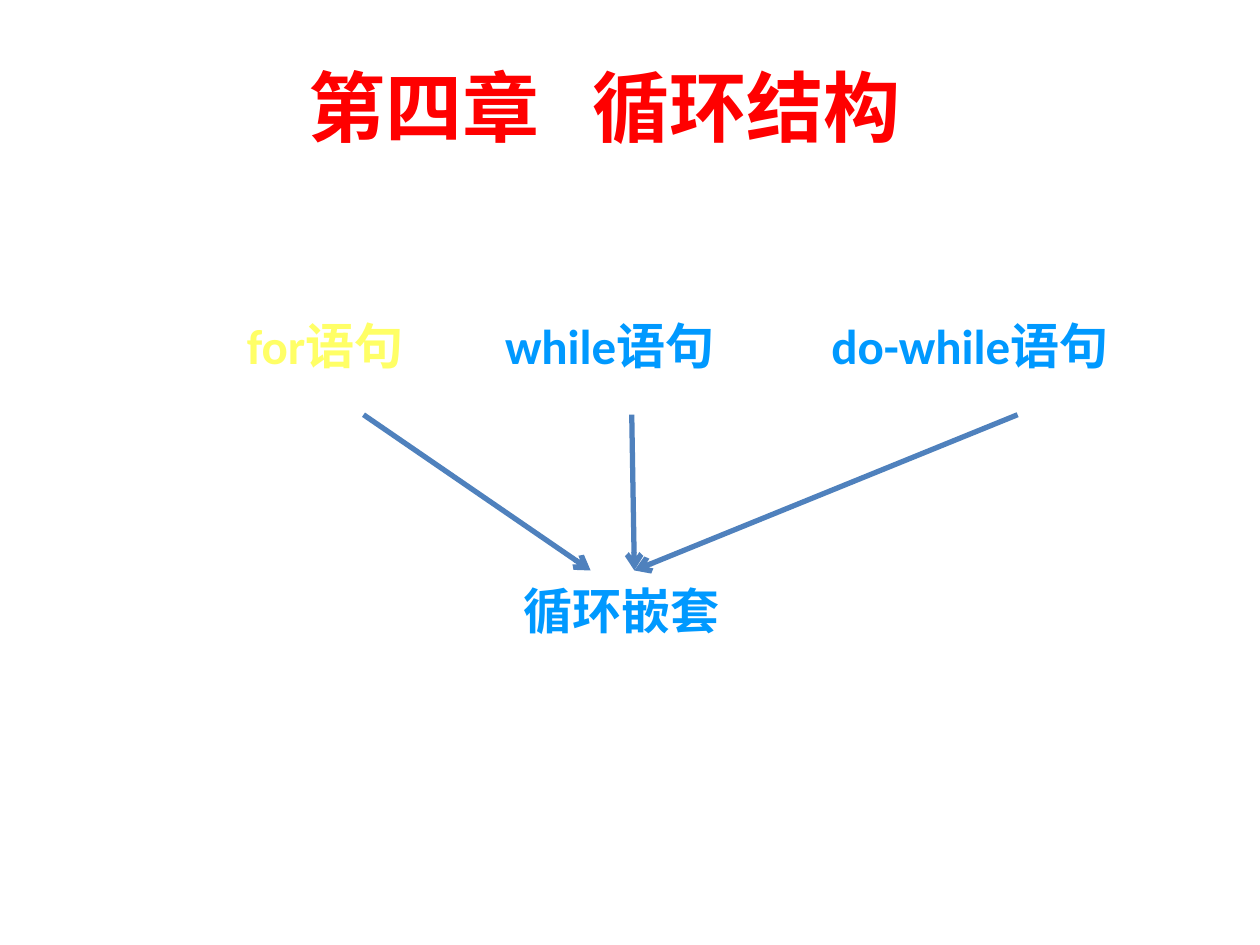
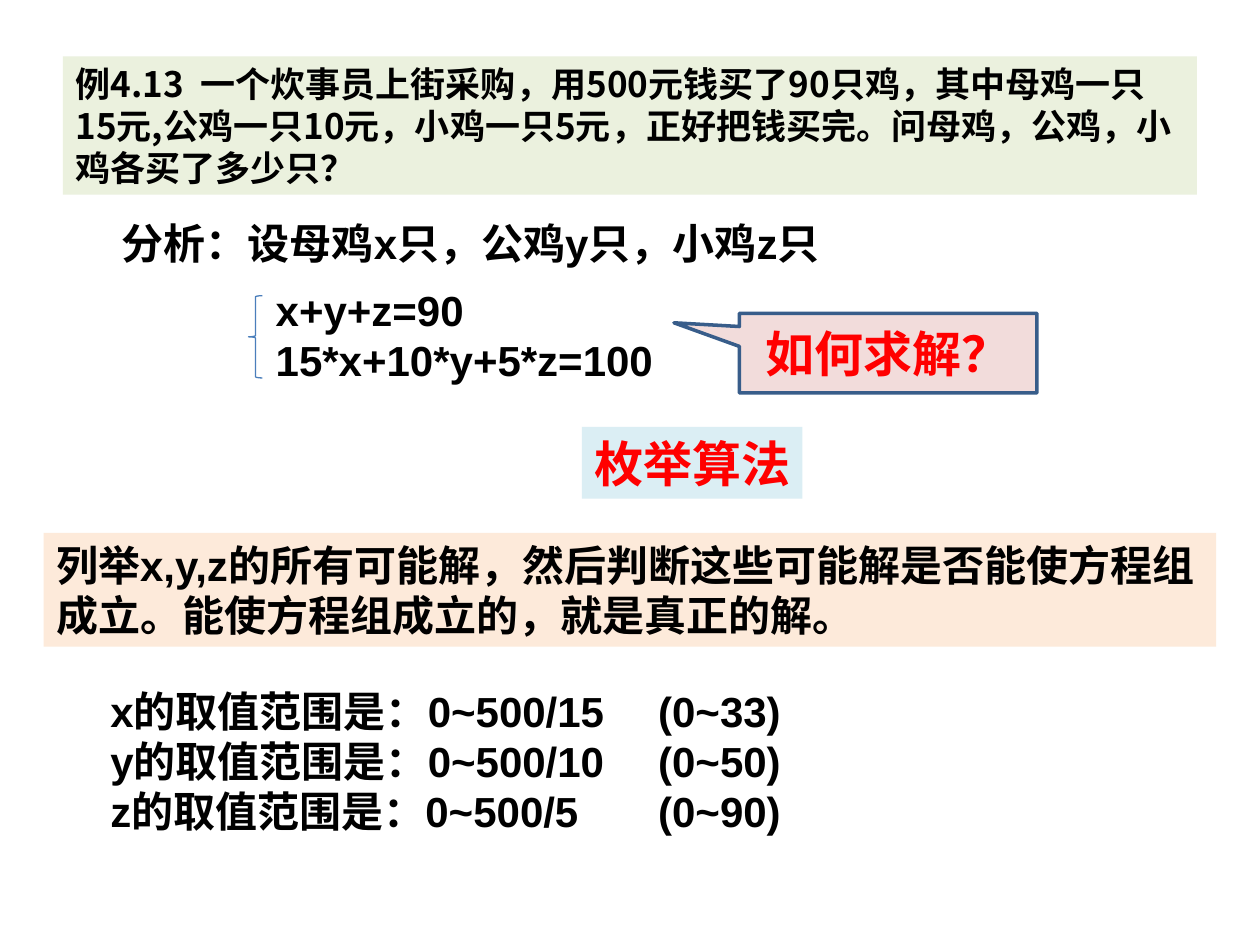
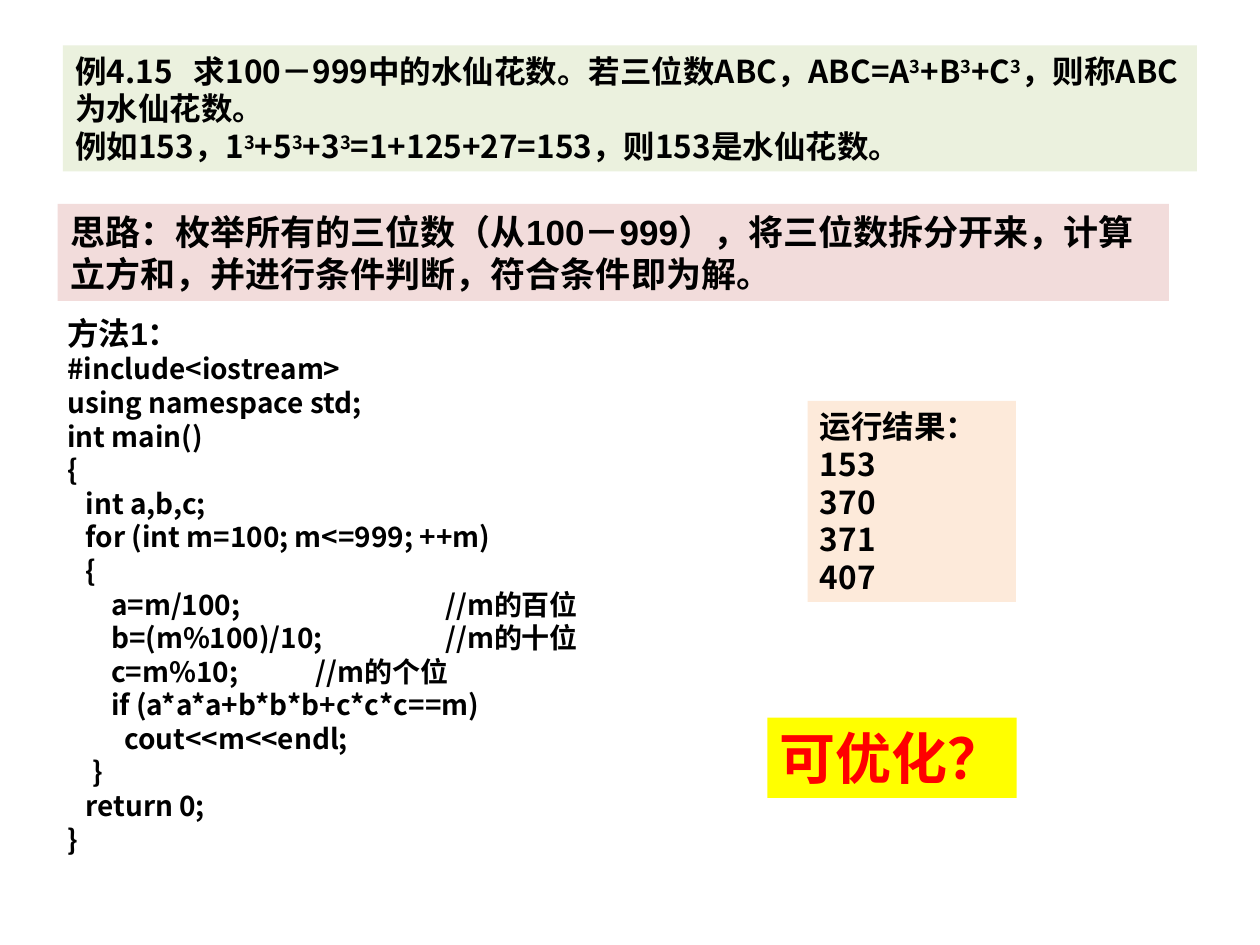
from dataclasses import dataclass

from lxml.etree import SubElement
from pptx import Presentation
from pptx.dml.color import RGBColor
from pptx.enum.shapes import MSO_CONNECTOR, MSO_SHAPE
from pptx.enum.text import MSO_ANCHOR, MSO_AUTO_SIZE, PP_ALIGN
from pptx.oxml.ns import qn
from pptx.util import Pt


@dataclass(frozen=True)
class Theme:
    # colours
    black: str = "000000"
    red: str = "FF0000"
    current: str = "FFFF66"
    topic: str = "0099FF"
    arrow: str = "4F81BD"
    brace: str = "4A7EBB"
    callout_line: str = "385D8A"
    green: str = "EBF1DE"
    pink: str = "F2DCDB"
    aqua: str = "DBEEF4"
    peach: str = "FDEADA"
    yellow: str = "FFFF00"
    # fonts
    heading: str = "Calibri"
    body: str = "Arial"
    chinese: str = "Noto Sans CJK SC"
    # type sizes
    title: int = 44
    shout: int = 32
    large: int = 28
    medium: int = 24
    normal: int = 20
    small: int = 18
    code: int = 16


THEME = Theme()
TITLE_ONLY, BLANK = 5, 6
CUBED = ("3", {"baseline": "30000"})


def rgb(colour):
    return RGBColor.from_string(colour)


def gap(points):
    """A single space widened by the given number of points."""
    return " ", {"spc": str(points * 100)}


def write(frame, *lines, size=THEME.medium, font=THEME.body,
          colour=THEME.black, align=None, tabs=()):
    """Append paragraphs; a line is a string or a list of strings and (string, attributes)."""
    for line in lines:
        paragraph = frame.add_paragraph() if frame.text else frame.paragraphs[0]
        paragraph.alignment = align
        if tabs:
            stops = SubElement(paragraph._p.get_or_add_pPr(), qn("a:tabLst"))
            for stop in tabs:
                SubElement(stops, qn("a:tab"), pos=str(Pt(stop)), algn="l")
        for piece in [line] if isinstance(line, str) else line:
            text, attributes = (piece, {}) if isinstance(piece, str) else piece
            run = paragraph.add_run()
            run.text = text
            run.font.size = Pt(size)
            run.font.name = font
            run.font.bold = True
            run.font.color.rgb = rgb(colour)
            properties = run.font._element
            SubElement(properties, qn("a:ea"), typeface=THEME.chinese)
            for name, value in attributes.items():
                properties.set(name, value)


def add_box(shapes, box, *lines, fill=None, wrap=True, middle=False, **text_format):
    text_box = shapes.add_textbox(*map(Pt, box))
    frame = text_box.text_frame
    frame.word_wrap = wrap
    if middle:
        frame.vertical_anchor = MSO_ANCHOR.MIDDLE
    else:
        frame.auto_size = MSO_AUTO_SIZE.SHAPE_TO_FIT_TEXT
    if fill:
        text_box.fill.solid()
        text_box.fill.fore_color.rgb = rgb(fill)
    write(frame, *lines, **text_format)
    return text_box


def add_outlined(shapes, kind, box, line, width, fill=None):
    shape = shapes.add_shape(kind, *map(Pt, box))
    shape.shadow.inherit = False
    shape.line.color.rgb = rgb(line)
    shape.line.width = Pt(width)
    if fill:
        shape.fill.solid()
        shape.fill.fore_color.rgb = rgb(fill)
    else:
        shape.fill.background()
    return shape


def add_arrow(shapes, source, target=None, end=(0, 0)):
    """Arrow from the bottom of source to the top of target, or to a free end point."""
    arrow = shapes.add_connector(MSO_CONNECTOR.STRAIGHT, 0, 0, *map(Pt, end))
    arrow.begin_connect(source, 2)
    if target is not None:
        arrow.end_connect(target, 0)
    arrow.line.color.rgb = rgb(THEME.arrow)
    arrow.line.width = Pt(3)
    SubElement(arrow.line._get_or_add_ln(), qn("a:tailEnd"), type="arrow")
    SubElement(arrow._element.spPr, qn("a:effectLst"))


def add_title(slide, box, line):
    title = slide.shapes.title
    title.left, title.top, title.width, title.height = map(Pt, box)
    title.text_frame.vertical_anchor = MSO_ANCHOR.MIDDLE
    write(title.text_frame, line, size=THEME.title, font=THEME.heading,
          colour=THEME.red, align=PP_ALIGN.CENTER)


def build_chapter(slide):
    shapes = slide.shapes
    add_title(slide, (88, 9.5, 515.5, 102), ["第四章", gap(20), "循环结构"])

    def add_topic(box, text, colour=THEME.topic):
        return add_box(shapes, box, text, middle=True, size=THEME.large,
                       font=THEME.heading, colour=colour)

    for_topic = add_topic((134, 157.5, 147.5, 79.5), "for语句", THEME.current)
    while_topic = add_topic((281.5, 157.5, 159, 79.5), "while语句")
    do_while_topic = add_topic((468, 157.5, 227, 79.5), "do-while语句")
    nesting = add_topic((286, 326, 153, 45.5), " 循环嵌套")

    add_arrow(shapes, do_while_topic, nesting)
    add_arrow(shapes, while_topic, nesting)
    add_arrow(shapes, for_topic, end=(337.5, 326))


def build_chickens(slide):
    shapes = slide.shapes
    add_box(shapes, (36, 32.25, 648, 79),
            ["例4.13", gap(5), "一个炊事员上街采购，用500元钱买了90只鸡，其中母鸡一只15元,"
             "公鸡一只10元，小鸡一只5元，正好把钱买完。问母鸡，公鸡，小鸡各买了多少只？"],
            fill=THEME.green, size=THEME.normal, font=THEME.chinese)
    add_box(shapes, (62.5, 121, 447, 36), "分析：设母鸡x只，公鸡y只，小鸡z只", wrap=False)

    equations = shapes.add_group_shape().shapes
    add_box(equations, (150.5, 159, 230, 65), "x+y+z=90", "15*x+10*y+5*z=100", wrap=False)
    add_outlined(equations, MSO_SHAPE.LEFT_BRACE, (142, 169, 8, 47), THEME.brace, 0.75)

    question = add_outlined(shapes, MSO_SHAPE.RECTANGULAR_CALLOUT, (422.5, 179, 170, 45.5),
                            THEME.callout_line, 2, fill=THEME.pink)
    question.adjustments[0], question.adjustments[1] = -0.72, -0.38
    question.text_frame.vertical_anchor = MSO_ANCHOR.MIDDLE
    write(question.text_frame, "如何求解？", size=THEME.large, font=THEME.heading,
          colour=THEME.red, align=PP_ALIGN.CENTER)

    add_box(shapes, (332.5, 244, 126, 41), "枚举算法", fill=THEME.aqua, wrap=False,
            size=THEME.large, font=THEME.chinese, colour=THEME.red)
    add_box(shapes, (25, 304.5, 670, 65),
            "列举x,y,z的所有可能解，然后判断这些可能解是否能使方程组成立。"
            "能使方程组成立的，就是真正的解。", fill=THEME.peach)

    ranges = [("x", "0~500/15", "(0~33)"), ("y", "0~500/10", "(0~50)"), ("z", "0~500/5", "(0~90)")]
    add_box(shapes, (56, 388, 398, 94),
            *(f"{unknown}的取值范围是：{formula}\t{limits}" for unknown, formula, limits in ranges),
            wrap=False, tabs=[313])


def build_narcissistic(slide):
    shapes = slide.shapes
    add_box(shapes, (36, 26, 648, 72),
            ["例4.15", gap(8), "求100－999中的水仙花数。若三位数ABC，ABC=A", CUBED, "+B", CUBED,
             "+C", CUBED, "，则称ABC为水仙花数。"],
            ["例如153，1", CUBED, "+5", CUBED, "+3", CUBED, "=1+125+27=153，则153是水仙花数。"],
            fill=THEME.green, size=THEME.small, font=THEME.chinese)
    add_box(shapes, (461.5, 229, 119, 115), "运行结果：", "153", "370", "371", "407",
            fill=THEME.peach, size=THEME.small, font=THEME.chinese)

    method = add_box(shapes, (31.5, 176, 380, 317), "方法1：", size=THEME.small)
    function, closing, loop, branch = 10.5, 14.5, 25, 32.5
    comment, near_comment = 216, 142
    program = [
        ("#include<iostream>",),
        ("using namespace std;",),
        ("int main()",),
        ("{",),
        ("\tint a,b,c;", function),
        ("\tfor (int m=100; m<=999; ++m)", function),
        ("\t{", function),
        ("\ta=m/100;\t//m的百位", loop, comment),
        ("\tb=(m%100)/10;\t//m的十位", loop, comment),
        ("\tc=m%10;\t//m的个位", loop, near_comment),
        ("\tif (a*a*a+b*b*b+c*c*c==m)", loop),
        ("\tcout<<m<<endl;", branch),
        ("\t}", closing),
        ("\treturn 0;", function),
        ("}",),
    ]
    for code, *stops in program:
        write(method.text_frame, code, size=THEME.code, font=THEME.chinese, tabs=stops)

    add_box(shapes, (33, 116.5, 635, 55.5),
            "思路：枚举所有的三位数（从100－999），将三位数拆分开来，计算立方和，"
            "并进行条件判断，符合条件即为解。", fill=THEME.pink, size=THEME.normal)
    add_box(shapes, (438.5, 410, 142.5, 46), "可优化？", fill=THEME.yellow, wrap=False,
            size=THEME.shout, colour=THEME.red)


def main():
    deck = Presentation()
    deck.slide_width, deck.slide_height = Pt(720), Pt(540)
    for build, layout in [(build_chapter, TITLE_ONLY), (build_chickens, BLANK),
                          (build_narcissistic, BLANK)]:
        build(deck.slides.add_slide(deck.slide_layouts[layout]))
    deck.save("out.pptx")


if __name__ == "__main__":
    main()
